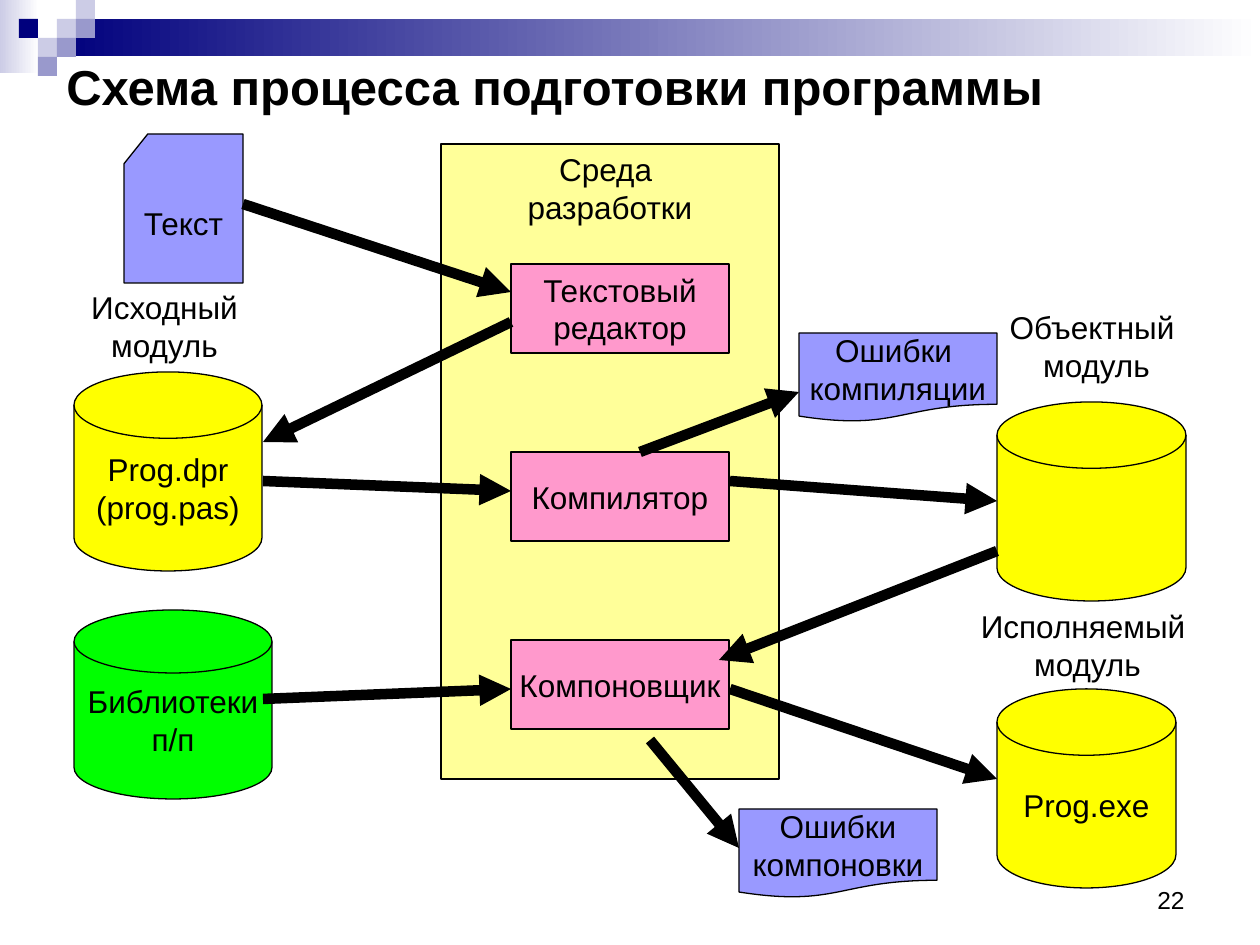
from collections import namedtuple
from dataclasses import dataclass

from pptx import Presentation
from pptx.dml.color import RGBColor
from pptx.enum.shapes import MSO_CONNECTOR, MSO_SHAPE
from pptx.enum.text import MSO_ANCHOR, PP_ALIGN
from pptx.oxml.ns import qn
from pptx.util import Pt
from lxml.etree import SubElement

SCALE = 914400 / 126  # EMU in one px
Box = namedtuple("Box", "x y w h")


@dataclass(frozen=True)
class Theme:
    font: str = "Arial"
    title: int = 28
    body: int = 18
    small: int = 14
    edge: float = 0.75
    arrow: int = 6
    ink: str = "000000"
    white: str = "FFFFFF"
    navy: str = "00007D"
    pale: str = "CCCCE6"
    mid: str = "9999CC"
    cream: str = "FFFF99"
    pink: str = "FF99CC"
    violet: str = "9999FF"
    yellow: str = "FFFF00"
    green: str = "00FF00"


T = Theme()


def px(n):
    return round(n * SCALE)


def rgb(code):
    return RGBColor.from_string(code)


def inner(box, x, y, w, h):
    return Box(box.x + x, box.y + y, w, h)


def write(shape, lines, size=T.body, bold=False, align=PP_ALIGN.CENTER,
          anchor=MSO_ANCHOR.MIDDLE, wrap=False):
    frame = shape.text_frame
    frame.word_wrap = wrap
    frame.vertical_anchor = anchor
    for i, line in enumerate(lines):
        para = frame.add_paragraph() if i else frame.paragraphs[0]
        para.alignment = align
        run = para.add_run()
        run.text = line
        run.font.name = T.font
        run.font.size = Pt(size)
        run.font.bold = bold
        run.font.color.rgb = rgb(T.ink)


def label(slide, box, lines, **style):
    write(slide.shapes.add_textbox(*map(px, box)), lines, **style)


def block(slide, kind, box, fill, lines=(), edge=True, **style):
    shape = slide.shapes.add_shape(kind, *map(px, box))
    shape.shadow.inherit = False
    if isinstance(fill, tuple):
        shape.fill.gradient()
        shape.fill.gradient_angle = 0
        for place, (stop, code) in enumerate(
                zip(shape.fill.gradient_stops, fill)):
            stop.color.rgb = rgb(code)
            stop.position = place
    else:
        shape.fill.solid()
        shape.fill.fore_color.rgb = rgb(fill)
    if edge:
        shape.line.color.rgb = rgb(T.ink)
        shape.line.width = Pt(T.edge)
    else:
        shape.line.fill.background()
    if lines:
        write(shape, lines, **style)


def arrow(slide, x1, y1, x2, y2):
    link = slide.shapes.add_connector(
        MSO_CONNECTOR.STRAIGHT, *map(px, (x1, y1, x2, y2)))
    link.line.color.rgb = rgb(T.ink)
    link.line.width = Pt(T.arrow)
    SubElement(link.get_or_add_ln(), qn("a:tailEnd"), type="triangle")
    SubElement(link.element.spPr, qn("a:effectLst"))


def banner(slide, box):
    tile = 19
    # Fading bands
    for part, fade in (((0, 0, 39, 73), (T.pale, T.white)),
                       ((57, tile, box.w - 57, 37), (T.navy, T.white))):
        block(slide, MSO_SHAPE.RECTANGLE, inner(box, *part), fade, edge=False)
    # Mosaic: column, row, colour
    for col, row, fill in ((3, 1, T.pale), (4, 0, T.pale), (4, 1, T.mid),
                           (2, 2, T.pale), (1, 1, T.navy), (3, 2, T.mid),
                           (2, 3, T.mid)):
        block(slide, MSO_SHAPE.RECTANGLE,
              inner(box, col * tile, row * tile, tile, tile), fill, edge=False)


def tools(slide, box):
    # Surrounding frame with its heading
    block(slide, MSO_SHAPE.RECTANGLE, box, T.cream, ("Среда ", "разработки"),
          anchor=MSO_ANCHOR.TOP)
    # Equally spaced steps
    steps = (("Текстовый", "редактор"), ("Компилятор",), ("Компоновщик",))
    for i, lines in enumerate(steps):
        block(slide, MSO_SHAPE.FLOWCHART_PROCESS,
              inner(box, 70, 120 + 188 * i, 218, 89), T.pink, lines)


def inputs(slide, box):
    disk = MSO_SHAPE.FLOWCHART_MAGNETIC_DISK
    block(slide, MSO_SHAPE.FLOWCHART_CARD,
          inner(box, 50, 0, 119, 149), T.violet, ("Текст",))
    label(slide, inner(box, 4, 148, 173, 88), ("Исходный", "модуль"),
          anchor=MSO_ANCHOR.TOP)
    block(slide, disk, inner(box, 0, 238, 188, 199), T.yellow,
          ("Prog.dpr", "(prog.pas)"))
    block(slide, disk, inner(box, 0, 476, 198, 189), T.green,
          ("Библиотеки", "п/п"))


def outputs(slide, box):
    # Modules on disk
    disk = MSO_SHAPE.FLOWCHART_MAGNETIC_DISK
    block(slide, disk, inner(box, 258, 100, 189, 199), T.yellow)
    block(slide, disk, inner(box, 258, 387, 179, 199), T.yellow, ("Prog.exe",))
    # Error reports
    for x, y, lines in ((60, 31, ("Ошибки ", "компиляции")),
                        (0, 507, ("Ошибки", "компоновки"))):
        block(slide, MSO_SHAPE.FLOWCHART_DOCUMENT,
              inner(box, x, y, 198, 89), T.violet, lines)
    # Module names
    for x, y, w, name in ((258, 0, 199, "Объектный "),
                          (229, 299, 239, "Исполняемый ")):
        label(slide, inner(box, x, y, w, 88), (name, "модуль"),
              anchor=MSO_ANCHOR.TOP)


def links(slide, box):
    for x1, y1, x2, y2 in (
            (169, 70, 437, 158),   # text to editor
            (437, 188, 189, 308),  # editor to source
            (189, 347, 437, 357),  # source to compiler
            (656, 347, 923, 367),  # compiler to object module
            (566, 318, 725, 258),  # compiler to errors
            (576, 606, 665, 714),  # linker to errors
            (656, 555, 923, 645),  # linker to program
            (189, 565, 437, 555),  # libraries to linker
            (923, 417, 645, 526)):  # object module to linker
        arrow(slide, box.x + x1, box.y + y1, box.x + x2, box.y + y2)


def main():
    deck = Presentation()
    deck.slide_width, deck.slide_height = px(1260), px(945)
    slide = deck.slides.add_slide(deck.slide_layouts[6])
    banner(slide, Box(0, 0, 1260, 76))
    label(slide, Box(54, 45, 1134, 81), ("Схема процесса подготовки программы",),
          size=T.title, bold=True, align=PP_ALIGN.LEFT, wrap=True)
    tools(slide, Box(441, 144, 338, 635))
    inputs(slide, Box(74, 134, 198, 665))
    outputs(slide, Box(739, 302, 468, 596))
    links(slide, Box(74, 134, 1112, 764))
    label(slide, Box(903, 879, 294, 66), ("22",), size=T.small,
          align=PP_ALIGN.RIGHT, anchor=MSO_ANCHOR.TOP, wrap=True)
    deck.save("out.pptx")


if __name__ == "__main__":
    main()
